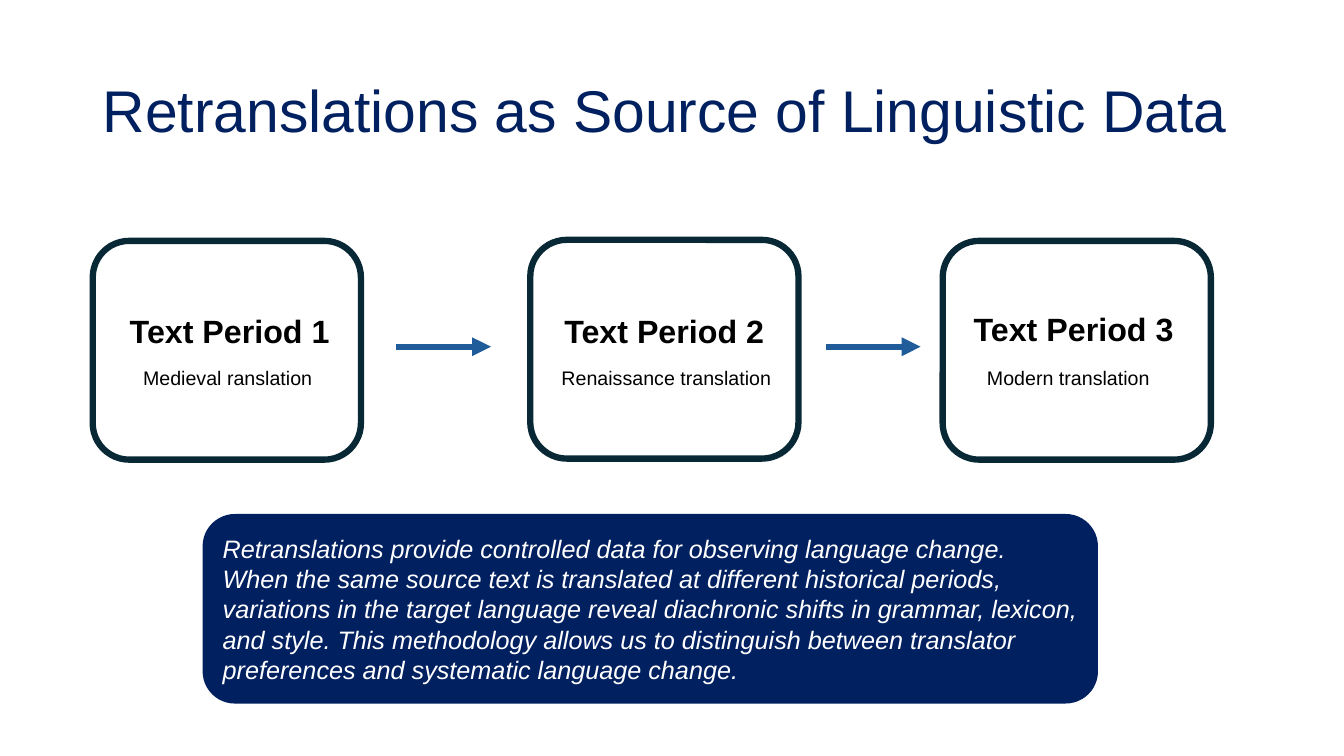
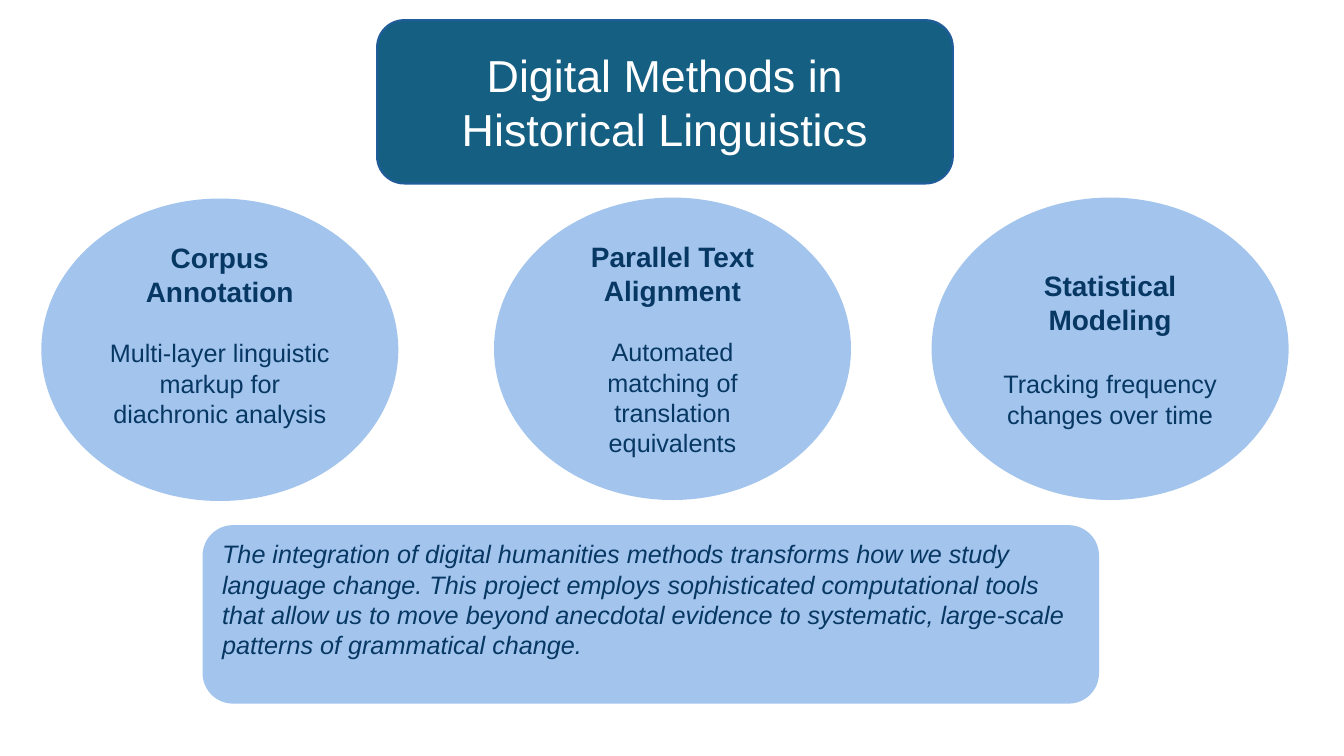
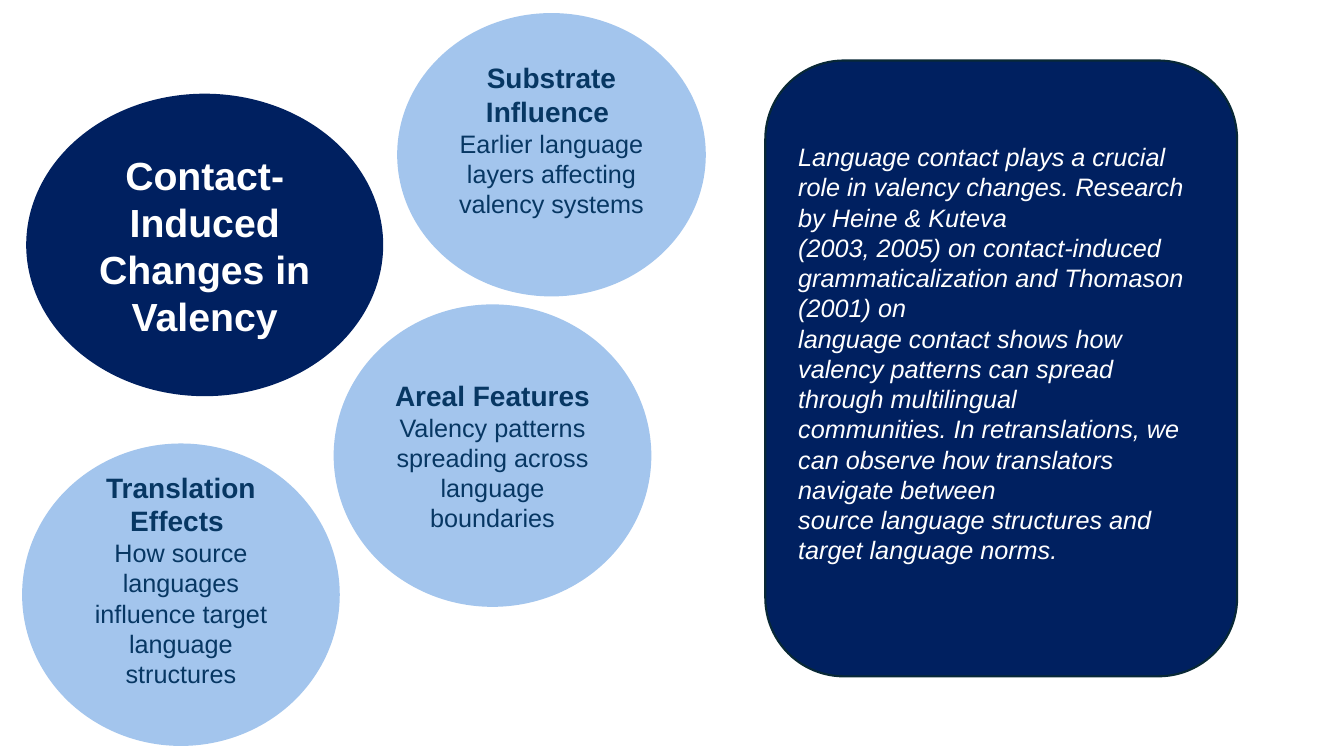
from lxml.etree import SubElement
from pptx import Presentation
from pptx.dml.color import RGBColor
from pptx.enum.shapes import MSO_CONNECTOR, MSO_SHAPE
from pptx.enum.text import MSO_ANCHOR, PP_ALIGN
from pptx.oxml.ns import qn
from pptx.util import Inches, Pt

FONT = "Arial"
NAVY = RGBColor(0x00, 0x20, 0x60)
INK = RGBColor(0x08, 0x28, 0x36)
BLUE = RGBColor(0x1F, 0x5C, 0x99)
TEAL = RGBColor(0x15, 0x60, 0x82)
SKY = RGBColor(0xA3, 0xC5, 0xED)
DEEP = RGBColor(0x07, 0x37, 0x63)
WHITE = RGBColor(0xFF, 0xFF, 0xFF)
BLACK = RGBColor(0x00, 0x00, 0x00)
MARGIN = 0.05
RAISED = 0.35

RETRANSLATION_TITLE = "Retranslations as Source of Linguistic Data"
PERIODS = [
    (0.92, 2.39, "Text Period 1", (1.15, 3.04), "Medieval ranslation", (1.32, 1.92)),
    (5.26, 2.38, "Text Period 2", (5.46, 3.04), "Renaissance translation", (5.47, 2.32)),
    (9.35, 2.39, "Text Period 3", (9.52, 3.02), "Modern translation", (9.69, 1.92)),
]
ARROW_STARTS = [3.93, 8.19]
ARROW_LENGTH = 0.94
RETRANSLATION_NOTE = (
    "Retranslations provide controlled data for observing language change. "
    "When the same source text is translated at different historical periods, "
    "variations in the target language reveal diachronic shifts in grammar, lexicon, "
    "and style. This methodology allows us to distinguish between translator "
    "preferences and systematic language change."
)

METHODS_TITLE = "Digital Methods in Historical Linguistics"
METHODS = [
    ((0.42, 1.98, 3.52, 2.98), "Corpus Annotation",
     "Multi-layer linguistic markup for diachronic analysis", 21, RAISED),
    ((4.91, 1.97, 3.52, 2.98), "Parallel Text Alignment",
     "Automated matching of translation equivalents", 21, MARGIN),
    ((9.25, 1.97, 3.52, 2.98), "Statistical Modeling",
     "Tracking frequency changes over time", 23.5, MARGIN),
]
METHODS_NOTE = (
    "The integration of digital humanities methods transforms how we study "
    "language change. This project employs sophisticated computational tools "
    "that allow us to move beyond anecdotal evidence to systematic, large-scale "
    "patterns of grammatical change."
)

CONTACT_TITLE = "Contact-Induced Changes in Valency"
CONTACT_FACTORS = [
    ((0.23, 4.41, 3.13, 2.98), "Translation Effects ",
     "How source languages influence target language structures", 0, RAISED),
    ((3.95, 0.14, 3.04, 2.79), "Substrate Influence ",
     "Earlier language layers affecting valency systems", 0, RAISED),
    ((3.32, 3.03, 3.13, 2.98), "Areal Features",
     "Valency patterns spreading across language boundaries", 0, MARGIN),
]
CONTACT_NOTE = [
    "Language contact plays a crucial role in valency changes. Research by Heine & Kuteva",
    "(2003, 2005) on contact-induced grammaticalization and Thomason (2001) on",
    "language contact shows how valency patterns can spread through multilingual",
    "communities. In retranslations, we can observe how translators navigate between",
    "source language structures and target language norms.",
]


def write(shape, texts, size, color, align=PP_ALIGN.LEFT, bold=False, italic=False,
          anchor=MSO_ANCHOR.MIDDLE, bottom=MARGIN):
    frame = shape.text_frame
    frame.word_wrap = True
    frame.vertical_anchor = anchor
    frame.margin_bottom = Inches(bottom)
    frame.text = "\n".join(texts)
    for paragraph in frame.paragraphs:
        paragraph.alignment = align
        font = paragraph.font
        font.name, font.size, font.color.rgb = FONT, Pt(size), color
        font.bold, font.italic = bold, italic
    return frame.paragraphs


def add_text(slide, box, text, size, color, **style):
    textbox = slide.shapes.add_textbox(*map(Inches, box))
    return write(textbox, [text], size, color, **style)[0]


def add_panel(slide, kind, box, fill, line, width=1.5):
    shape = slide.shapes.add_shape(kind, *map(Inches, box))
    shape.shadow.inherit = False
    if fill is None:
        shape.fill.background()
    else:
        shape.fill.solid()
        shape.fill.fore_color.rgb = fill
    shape.line.color.rgb = line
    shape.line.width = Pt(width)
    return shape


def add_note(slide, box, texts, fill, line, color, bottom=MARGIN):
    shape = add_panel(slide, MSO_SHAPE.ROUNDED_RECTANGLE, box, fill, line)
    write(shape, texts, 18, color, italic=True, bottom=bottom)


def add_topic(slide, box, heading, detail, gap, bottom):
    shape = add_panel(slide, MSO_SHAPE.OVAL, box, SKY, SKY)
    first, second = write(shape, [heading, detail], 18, DEEP, PP_ALIGN.CENTER, bottom=bottom)
    first.font.size = Pt(20)
    first.font.bold = True
    first.space_after = Pt(gap)


def add_arrow(slide, left, top, length):
    arrow = slide.shapes.add_connector(
        MSO_CONNECTOR.STRAIGHT, Inches(left), Inches(top), Inches(left + length), Inches(top))
    arrow.line.color.rgb = BLUE
    arrow.line.width = Pt(4.5)
    SubElement(arrow.line._get_or_add_ln(), qn("a:tailEnd"), type="triangle")
    SubElement(arrow._element.spPr, qn("a:effectLst"))


def build_retranslations(slide):
    title = add_text(slide, (0.92, 0.4, 11.5, 1.45), RETRANSLATION_TITLE, 42, NAVY)
    title.line_spacing = 0.9
    for left, top, heading, heading_at, caption, (caption_left, caption_width) in PERIODS:
        add_panel(slide, MSO_SHAPE.ROUNDED_RECTANGLE, (left, top, 2.66, 2.17), None, INK, 4.5)
        add_text(slide, (*heading_at, 2.26, 0.49), heading, 23, BLACK,
                 align=PP_ALIGN.CENTER, bold=True, anchor=MSO_ANCHOR.TOP)
        add_text(slide, (caption_left, 3.58, caption_width, 0.34), caption, 14, BLACK,
                 anchor=MSO_ANCHOR.TOP)
    for start in ARROW_STARTS:
        add_arrow(slide, start, 3.44, ARROW_LENGTH)
    add_note(slide, (2.02, 5.11, 8.86, 1.86), [RETRANSLATION_NOTE], NAVY, NAVY, WHITE)


def build_methods(slide):
    banner = add_panel(slide, MSO_SHAPE.ROUNDED_RECTANGLE, (3.74, 0.2, 5.71, 1.62), TEAL, BLUE)
    write(banner, [METHODS_TITLE], 32, WHITE, PP_ALIGN.CENTER)
    for method in METHODS:
        add_topic(slide, *method)
    add_note(slide, (2.02, 5.22, 8.87, 1.75), [METHODS_NOTE], SKY, SKY, DEEP, RAISED)


def build_contact(slide):
    for factor in CONTACT_FACTORS:
        add_topic(slide, *factor)
    hub = add_panel(slide, MSO_SHAPE.OVAL, (0.27, 0.94, 3.52, 2.98), NAVY, NAVY)
    write(hub, [CONTACT_TITLE], 28, WHITE, PP_ALIGN.CENTER, bold=True)
    add_note(slide, (7.59, 0.6, 4.68, 6.11), CONTACT_NOTE, NAVY, INK, WHITE, RAISED)


def main():
    presentation = Presentation()
    presentation.slide_width = Inches(13.33)
    presentation.slide_height = Inches(7.5)
    for build in (build_retranslations, build_methods, build_contact):
        build(presentation.slides.add_slide(presentation.slide_layouts[6]))
    presentation.save("out.pptx")


if __name__ == "__main__":
    main()
